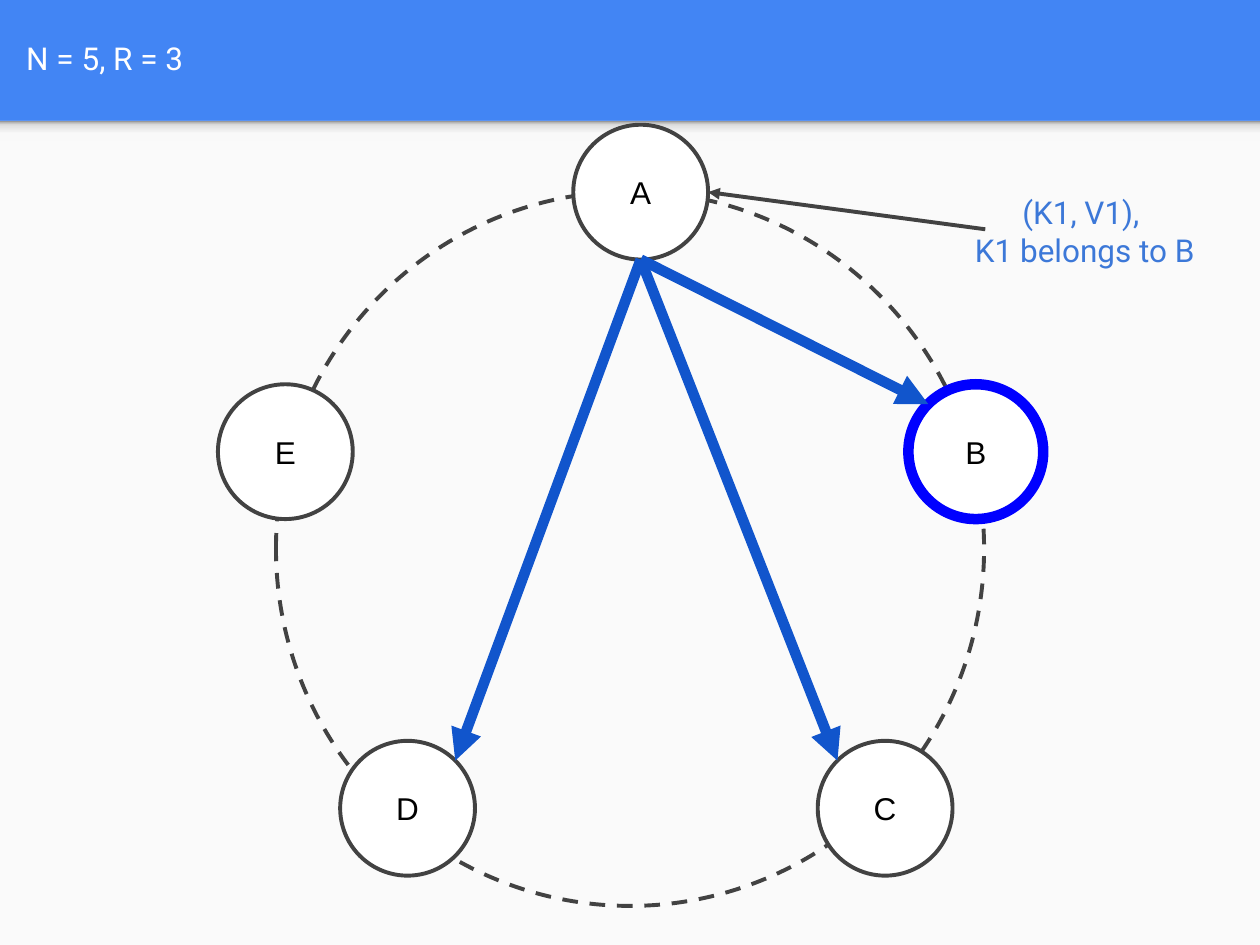
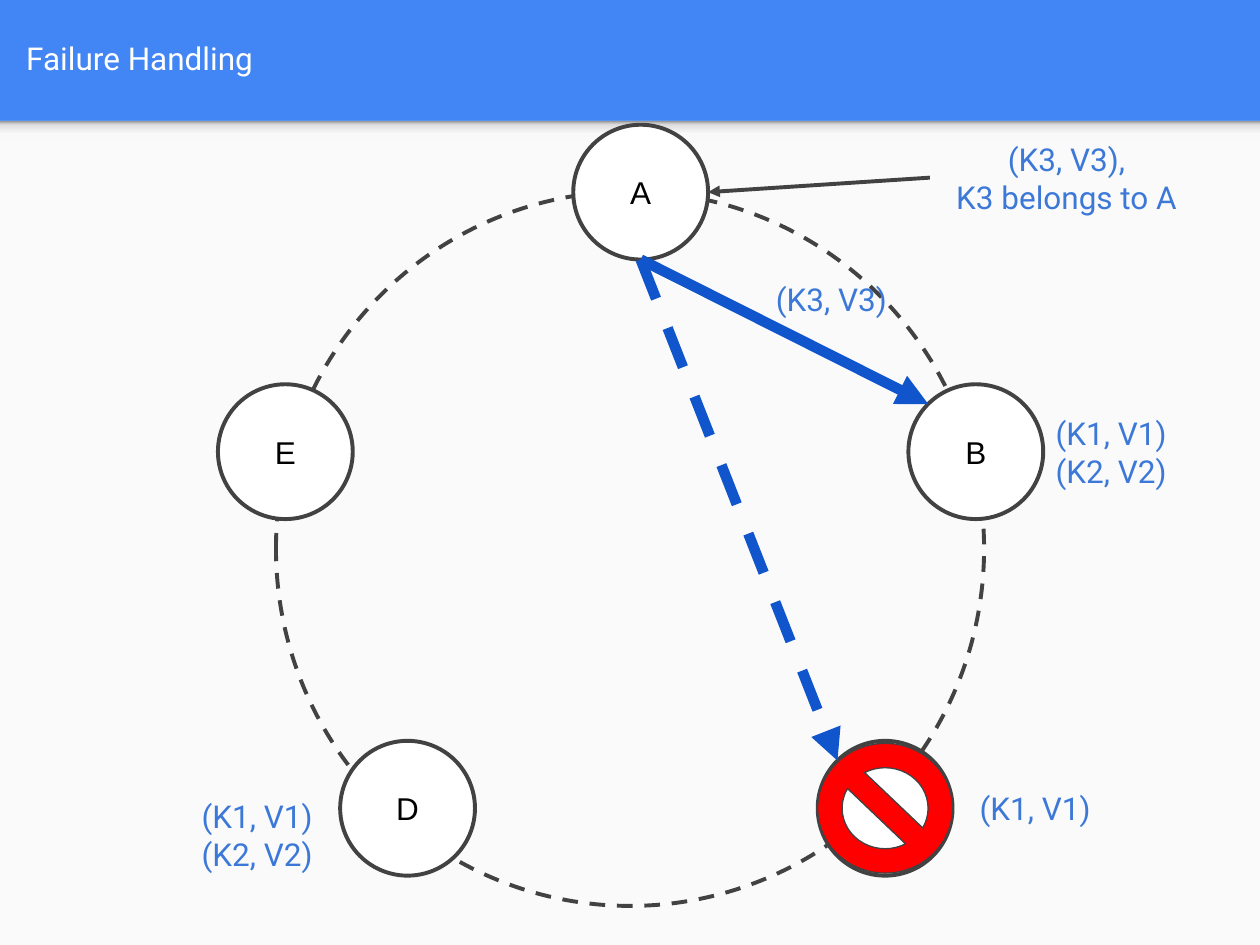
from math import cos, radians, sin

from lxml import etree
from pptx import Presentation
from pptx.dml.color import RGBColor
from pptx.enum.dml import MSO_LINE
from pptx.enum.shapes import MSO_CONNECTOR, MSO_SHAPE
from pptx.enum.text import MSO_ANCHOR, PP_ALIGN
from pptx.oxml.ns import qn
from pptx.util import Inches, Pt

# Enum members
RECT, OVAL, BAN = MSO_SHAPE.RECTANGLE, MSO_SHAPE.OVAL, MSO_SHAPE.NO_SYMBOL
STRAIGHT, DASH = MSO_CONNECTOR.STRAIGHT, MSO_LINE.DASH
LEFT, CENTER, MIDDLE = PP_ALIGN.LEFT, PP_ALIGN.CENTER, MSO_ANCHOR.MIDDLE

# Colours
HEADER = RGBColor(0x42, 0x85, 0xF4)
PAPER = RGBColor(0xFA, 0xFA, 0xFA)
WHITE = RGBColor(0xFF, 0xFF, 0xFF)
BLACK = RGBColor(0x00, 0x00, 0x00)
GREY = RGBColor(0x42, 0x42, 0x42)
OWNER = RGBColor(0x00, 0x00, 0xFF)
SEND = RGBColor(0x11, 0x55, 0xCC)
LABEL = RGBColor(0x3C, 0x78, 0xD8)
RED = RGBColor(0xFF, 0x00, 0x00)
SHADE = ((0, "F9F9F9"), (36, "F9F9F9"), (80, "DEDEDE"), (100, "999999"))

# Grid of 100 columns by 75 rows; node centres as column, row
COLS, ROWS = 100, 75
SIZE = 10.7
NODES = {"A": (50.85, 15.25), "B": (77.45, 35.85), "C": (70.25, 64.15),
         "D": (32.35, 64.15), "E": (22.65, 35.85)}
RIGHT, DOWN, UP_LEFT, UP_RIGHT = 0, 90, 225, 315


def write(shape, text, font="Roboto", color=LABEL, size=18, align=CENTER):
    """Fill a shape with text; a new line starts a paragraph, \\v breaks a line."""
    frame = shape.text_frame
    frame.word_wrap = True
    frame.vertical_anchor = MIDDLE
    frame.margin_left = frame.margin_right = Inches(0.1)
    frame.margin_top = frame.margin_bottom = Inches(0.1)
    frame.text = text
    for para in frame.paragraphs:
        para.alignment = align
        for run in para.runs:
            run.font.name = font
            run.font.size = Pt(size)
            run.font.color.rgb = color


def edge(name, angle):
    """Point on a node's rim, with the angle running clockwise from the right."""
    x, y = NODES[name]
    turn = radians(angle)
    return x + SIZE / 2 * cos(turn), y + SIZE / 2 * sin(turn)


class Deck:
    def __init__(self):
        self.prs = Presentation()
        self.prs.slide_width, self.prs.slide_height = Inches(10), Inches(7.5)
        self.slide = None

    def spot(self, x, y):
        return (round(x * self.prs.slide_width / COLS),
                round(y * self.prs.slide_height / ROWS))

    def start(self, title):
        """New slide with header colour, page, shade and title."""
        self.slide = self.prs.slides.add_slide(self.prs.slide_layouts[6])
        back = self.slide.background.fill
        back.solid()
        back.fore_color.rgb = HEADER
        self.shape(RECT, 0, 9.6, 100, 65.4, fill=PAPER)
        self.shade(0, 9.6, 100, 1.6)
        self.text(title, 1.1, 0.2, 96.5, 8.8, color=WHITE, align=LEFT)

    def shape(self, kind, x, y, w, h, fill=None, line=None, width=2.25, dash=None):
        item = self.slide.shapes.add_shape(kind, *self.spot(x, y), *self.spot(w, h))
        item.shadow.inherit = False
        if fill is None:
            item.fill.background()
        else:
            item.fill.solid()
            item.fill.fore_color.rgb = fill
        if line is None:
            item.line.fill.background()
        else:
            self.stroke(item.line, line, width, dash)
        return item

    def stroke(self, line, color, width, dash):
        line.color.rgb = color
        line.width = Pt(width)
        if dash:
            line.dash_style = dash

    def shade(self, x, y, w, h):
        band = self.shape(RECT, x, y, w, h)
        band.fill.gradient()
        band.fill.gradient_angle = 90
        stops = band._element.spPr.find(qn("a:gradFill")).find(qn("a:gsLst"))
        for stop in list(stops):
            stops.remove(stop)
        for share, color in SHADE:
            stop = etree.SubElement(stops, qn("a:gs"), pos=str(share * 1000))
            etree.SubElement(stop, qn("a:srgbClr"), val=color)

    def text(self, text, x, y, w, h=6.3, **form):
        box = self.slide.shapes.add_textbox(*self.spot(x, y), *self.spot(w, h))
        write(box, text, **form)

    def ring(self, owner=None, failed=None):
        """Dashed ring with its nodes; the owner is outlined, a failed one blank."""
        self.shape(OVAL, 21.9, 15.2, 56.2, 56.7, line=GREY, dash=DASH)
        for name, (x, y) in NODES.items():
            line, width = (OWNER, 6) if name == owner else (GREY, 2.25)
            node = self.shape(OVAL, x - SIZE / 2, y - SIZE / 2, SIZE, SIZE,
                              fill=WHITE, line=line, width=width)
            if name != failed:
                write(node, name, font="Arial", color=BLACK)

    def ban(self, name, h=10.3):
        x, y = NODES[name]
        sign = self.shape(BAN, x - SIZE / 2, y - h / 2, SIZE, h,
                          fill=RED, line=GREY, width=0.75)
        sign.adjustments[0] = 0.188

    def arrow(self, start, end, color=GREY, width=2.25, dash=None):
        item = self.slide.shapes.add_connector(
            STRAIGHT, *self.spot(*start), *self.spot(*end))
        self.stroke(item.line, color, width, dash)
        etree.SubElement(item.line._get_or_add_ln(), qn("a:tailEnd"), type="triangle")
        etree.SubElement(item._element.spPr, qn("a:effectLst"))

    def send(self, name, angle, dash=None):
        """Thick arrow from the foot of node A to another node."""
        self.arrow(edge("A", DOWN), edge(name, angle), SEND, 6, dash)


deck = Deck()

# Slide 1: A passes the pair on to three replicas
deck.start("N = 5, R = 3")
deck.ring(owner="B")
deck.send("C", UP_LEFT)
deck.send("D", UP_RIGHT)
deck.send("B", UP_LEFT)
deck.text("(K1, V1), \vK1 belongs to B", 75.6, 15.2, 21)
deck.arrow((78.2, 18.2), edge("A", RIGHT))

# Slide 2: node C is down
deck.start("Failure Handling")
deck.ring(failed="C")
deck.text("(K1, V1)\n(K2, V2)", 82.8, 32.7, 12.8, align=LEFT)
deck.text("(K1, V1)", 74.9, 61, 14.5)
deck.text("(K1, V1)\n(K2, V2)", 13.7, 63.1, 13.4)
deck.ban("C")
deck.send("B", UP_LEFT)
deck.text("(K3, V3)", 60.6, 20.6, 11.5, align=LEFT)
deck.send("C", UP_LEFT, DASH)
deck.text("(K3, V3),\vK3 belongs to A", 73.8, 11, 21.7)
deck.arrow((73.8, 14.1), edge("A", RIGHT))

deck.prs.save("out.pptx")
